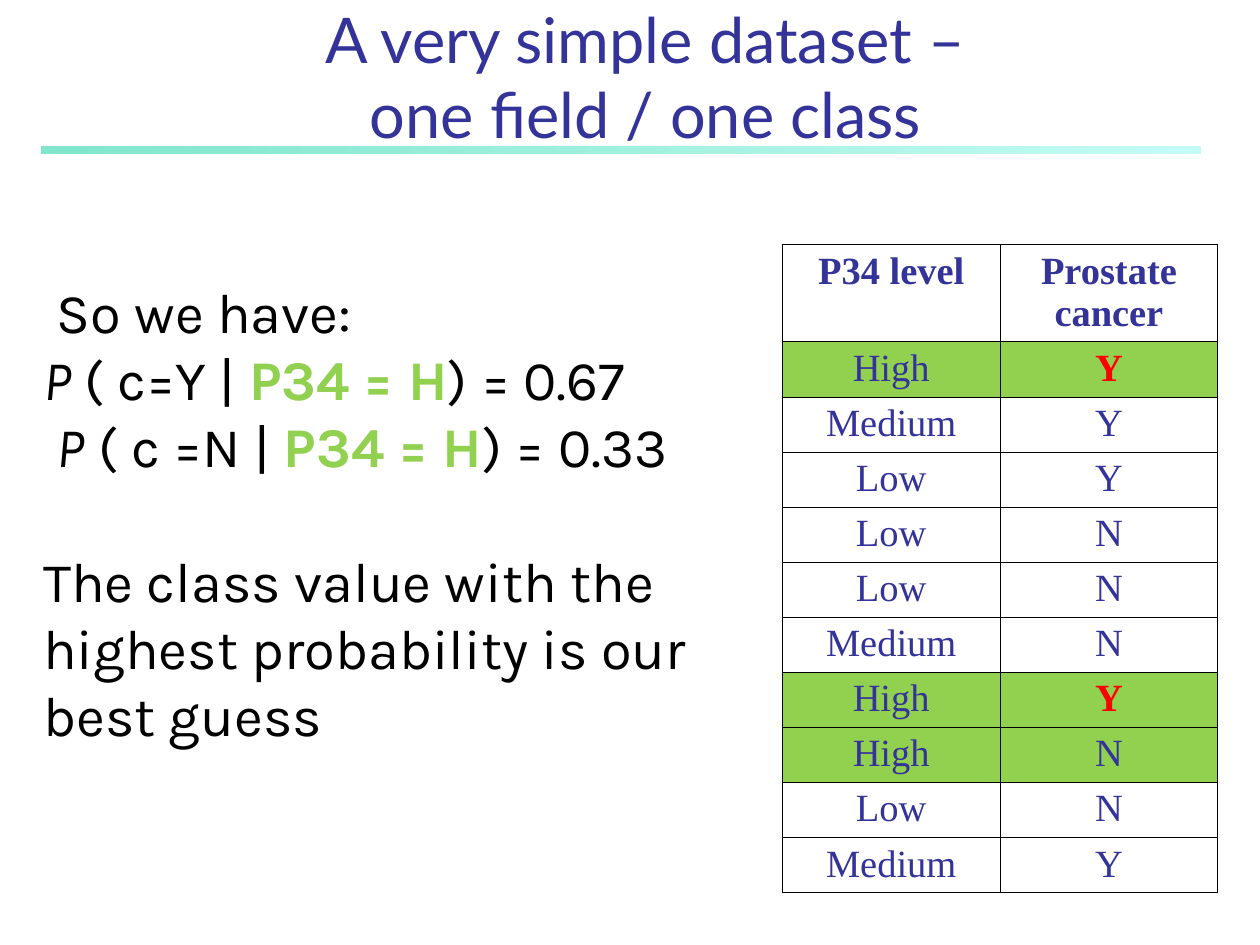
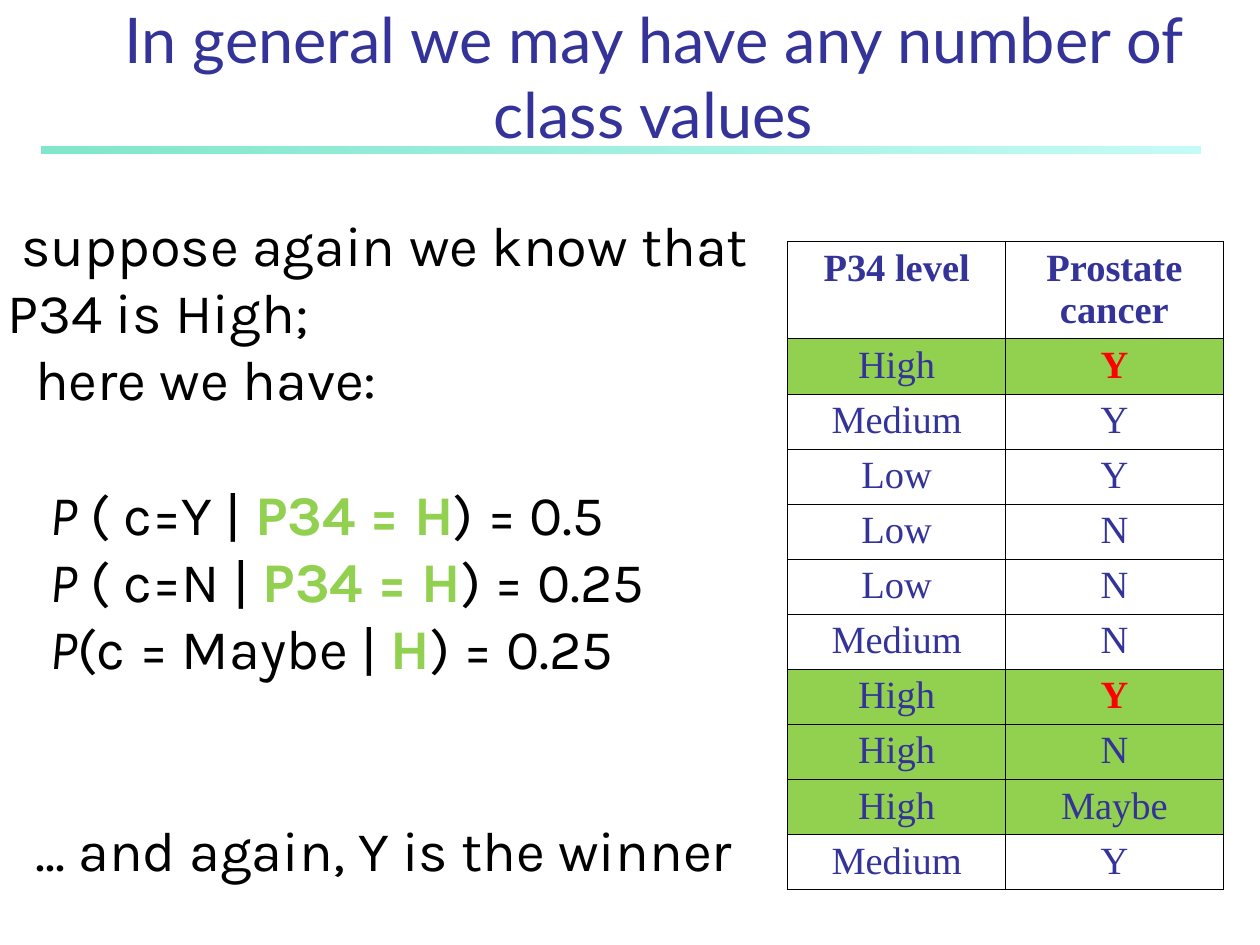
from dataclasses import dataclass

from lxml import etree
from pptx import Presentation
from pptx.dml.color import RGBColor
from pptx.enum.shapes import MSO_SHAPE
from pptx.enum.text import MSO_ANCHOR, MSO_AUTO_SIZE, PP_ALIGN
from pptx.oxml.ns import qn
from pptx.util import Cm, Pt

RECTANGLE = MSO_SHAPE.RECTANGLE
BOTTOM, TOP = MSO_ANCHOR.BOTTOM, MSO_ANCHOR.TOP
NO_AUTOFIT = MSO_AUTO_SIZE.NONE
CENTER, LEFT = PP_ALIGN.CENTER, PP_ALIGN.LEFT
TITLE_ONLY = 5


@dataclass(frozen=True)
class Theme:
    ink: RGBColor = RGBColor(0x33, 0x33, 0x99)
    body: RGBColor = RGBColor(0, 0, 0)
    paper: RGBColor = RGBColor(0xFF, 0xFF, 0xFF)
    match: RGBColor = RGBColor(0x92, 0xD0, 0x50)
    winner: RGBColor = RGBColor(0xFF, 0, 0)
    band: tuple = ((RGBColor(0x00, 0xCE, 0x98), 50), (RGBColor(0x8F, 0xF9, 0xEF), 52))
    title_font: str = "Lato"
    body_font: str = "Karla"
    table_font: str = "Times New Roman"
    title_size: Pt = Pt(36)
    body_size: Pt = Pt(32)
    table_size: Pt = Pt(22)
    line_pitch: Pt = Pt(38.4)
    indent_step: Cm = Cm(0.28)
    border: Pt = Pt(0.45)


THEME = Theme()


@dataclass(frozen=True)
class Span:
    text: str
    italic: bool = False
    match: bool = False


@dataclass(frozen=True)
class Line:
    spans: tuple[Span, ...]
    indent: int = 0
    lines_before: int = 0


@dataclass(frozen=True)
class Box:
    left: float
    top: float
    width: float
    height: float

    def lengths(self) -> tuple:
        return Cm(self.left), Cm(self.top), Cm(self.width), Cm(self.height)


@dataclass(frozen=True)
class Lesson:
    title: str
    lines: tuple[Line, ...]
    text_box: Box
    records: tuple[tuple[str, str], ...]
    table_box: Box


TITLE_BOX = Box(0.94, 0, 24.46, 3.18)
BAND_BOX = Box(0.84, 2.95, 23.37, 0.15)
HEADER_HEIGHT, ROW_HEIGHT = 1.96, 1.11


def plain(text: str, indent: int = 0, lines_before: int = 0) -> Line:
    return Line((Span(text),), indent, lines_before)


def probability(event: str, value: str, given: str = "P34 = H",
                indent: int = 0, lines_before: int = 0) -> Line:
    spans = (Span("P", italic=True), Span(f"{event} | "),
             Span(given, match=True), Span(f") = {value}"))
    return Line(spans, indent, lines_before)


# Data
HEADINGS = ("P34 level", "Prostate cancer")
RECORDS = (
    ("High", "Y"), ("Medium", "Y"), ("Low", "Y"), ("Low", "N"), ("Low", "N"),
    ("Medium", "N"), ("High", "Y"), ("High", "N"), ("Low", "N"), ("Medium", "Y"),
)
RECORDS_WITH_MAYBE = RECORDS[:8] + (("High", "Maybe"),) + RECORDS[9:]

LESSONS = (
    Lesson(
        "A very simple dataset – \vone field / one class\t",
        (
            plain("So we have:", indent=1),
            probability(" ( c=Y", "0.67"),
            probability(" ( c =N", "0.33", indent=1),
            plain("The class value with the", lines_before=1),
            plain("highest probability is our"),
            plain("best guess"),
        ),
        Box(0.64, 5.49, 13.79, 11.07),
        RECORDS,
        Box(15.77, 4.93, 8.78, 13.06),
    ),
    Lesson(
        "In general we may have any number of class values",
        (
            plain("suppose again we know that", indent=1),
            plain("P34 is High;"),
            plain("here we have:", indent=2),
            probability(" ( c=Y", "0.5", indent=3, lines_before=1),
            probability(" ( c=N", "0.25", indent=3),
            probability("(c = Maybe", "0.25", given="H", indent=3),
            plain("... and again, Y is the winner", indent=2, lines_before=2),
        ),
        Box(-0.08, 4.14, 16.2, 13.75),
        RECORDS_WITH_MAYBE,
        Box(15.88, 4.87, 8.78, 13.06),
    ),
)


def set_font(font, name: str, size: Pt, color: RGBColor, bold: bool = False) -> None:
    font.name, font.size, font.bold = name, size, bold
    font.color.rgb = color


def add_band(page, layout) -> None:
    """Draw the translucent title rule and move it to the shared layout."""
    band = page.shapes.add_shape(RECTANGLE, *BAND_BOX.lengths())
    band.shadow.inherit = False
    band.line.fill.background()
    band.fill.gradient()
    band.fill.gradient_angle = 0
    for stop, (color, opacity) in zip(band.fill.gradient_stops, THEME.band):
        stop.color.rgb = color
        alpha = etree.SubElement(stop._gs[0], qn("a:alpha"))
        alpha.set("val", str(opacity * 1000))
    layout.shapes._spTree.append(band._element)


def set_title(page, text: str) -> None:
    title = page.shapes.title
    title.left, title.top, title.width, title.height = TITLE_BOX.lengths()
    frame = title.text_frame
    frame.text = text
    frame.word_wrap = True
    frame.auto_size = NO_AUTOFIT
    frame.vertical_anchor = BOTTOM
    para = frame.paragraphs[0]
    para.alignment = CENTER
    set_font(para.font, THEME.title_font, THEME.title_size, THEME.ink)


def add_lines(page, lines: tuple[Line, ...], box: Box) -> None:
    frame = page.shapes.add_textbox(*box.lengths()).text_frame
    frame.word_wrap = True
    frame.margin_left = frame.margin_right = Cm(0.23)
    frame.margin_top = frame.margin_bottom = Cm(0.1)
    for index, line in enumerate(lines):
        para = frame.add_paragraph() if index else frame.paragraphs[0]
        para.alignment = LEFT
        para.space_before = THEME.line_pitch * line.lines_before
        para._p.get_or_add_pPr().set("marL", str(THEME.indent_step * line.indent))
        set_font(para.font, THEME.body_font, THEME.body_size, THEME.body)
        for span in line.spans:
            run = para.add_run()
            run.text = span.text
            if span.italic:
                run.font.italic = True
            if span.match:
                run.font.bold = True
                run.font.color.rgb = THEME.match


def add_borders(cell) -> None:
    properties = cell._tc.get_or_add_tcPr()
    for side in ("a:lnL", "a:lnR", "a:lnT", "a:lnB"):
        edge = etree.SubElement(properties, qn(side), w=str(THEME.border))
        fill = etree.SubElement(edge, qn("a:solidFill"))
        etree.SubElement(fill, qn("a:srgbClr"), val=str(THEME.body))


def fill_cell(cell, text: str, fill: RGBColor, color: RGBColor, bold: bool) -> None:
    add_borders(cell)
    cell.fill.solid()
    cell.fill.fore_color.rgb = fill
    cell.vertical_anchor = TOP
    cell.margin_top, cell.margin_bottom = Cm(0.11), Cm(0.04)
    cell.text = text
    para = cell.text_frame.paragraphs[0]
    para.alignment = CENTER
    set_font(para.font, THEME.table_font, THEME.table_size, color, bold)


def add_records(page, records: tuple[tuple[str, str], ...], box: Box) -> None:
    rows = (HEADINGS,) + records
    table = page.shapes.add_table(len(rows), len(HEADINGS), *box.lengths()).table
    table.first_row = table.horz_banding = False
    for column in table.columns:
        column.width = Cm(box.width / len(HEADINGS))
    for row_index, values in enumerate(rows):
        is_header = row_index == 0
        table.rows[row_index].height = Cm(HEADER_HEIGHT if is_header else ROW_HEIGHT)
        is_match = values[0] == "High"
        for column_index, text in enumerate(values):
            is_winner = is_match and text == "Y"
            fill_cell(
                table.cell(row_index, column_index), text,
                fill=THEME.match if is_match else THEME.paper,
                color=THEME.winner if is_winner else THEME.ink,
                bold=is_header or is_winner,
            )


def main() -> None:
    deck = Presentation()
    deck.slide_width, deck.slide_height = Cm(25.4), Cm(19.05)
    layout = deck.slide_layouts[TITLE_ONLY]
    for index, lesson in enumerate(LESSONS):
        page = deck.slides.add_slide(layout)
        if index == 0:
            add_band(page, layout)
        set_title(page, lesson.title)
        add_records(page, lesson.records, lesson.table_box)
        add_lines(page, lesson.lines, lesson.text_box)
    deck.save("out.pptx")


if __name__ == "__main__":
    main()
